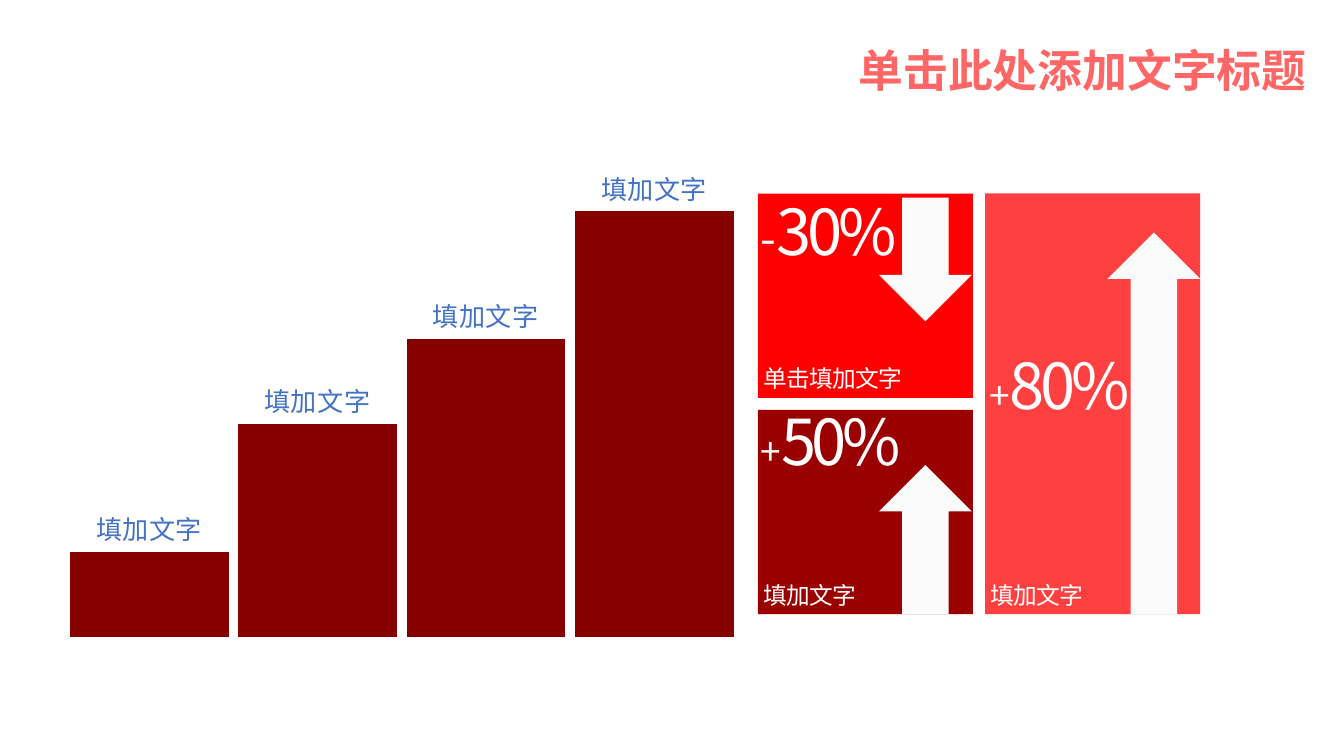
import pptx
import pptx.chart.data
import pptx.dml.color
import pptx.enum.chart
import pptx.enum.shapes
import pptx.enum.text
import pptx.oxml
import pptx.oxml.ns
import pptx.util
from pptx.util import Inches

COLORS = {
    "title": "FF6666",
    "coral": "FF4040",
    "red": "FF0000",
    "dark_red": "9A0000",
    "bar": "860000",
    "label": "4472C4",
    "white": "FFFFFF",
    "arrow": "FBFBFB",
}
FONT = "Noto Sans CJK SC"
ARROWS = {
    "up": pptx.enum.shapes.MSO_SHAPE.UP_ARROW,
    "down": pptx.enum.shapes.MSO_SHAPE.DOWN_ARROW,
}


class SlideBuilder:
    def __init__(self, slide):
        self.slide = slide

    def color(self, name):
        return pptx.dml.color.RGBColor.from_string(COLORS[name])

    def style_font(self, font, size, color, bold=False, spacing=0):
        font.name = FONT
        font.size = pptx.util.Pt(size)
        font.bold = bold
        font.color.rgb = self.color(color)
        properties = font._rPr
        if spacing:
            properties.set("spc", str(round(spacing * 100)))
        east_asian = pptx.oxml.parse_xml(
            f'<a:ea {pptx.oxml.ns.nsdecls("a")} typeface="{FONT}"/>'
        )
        properties.find(pptx.oxml.ns.qn("a:latin")).addnext(east_asian)

    def set_margins(self, frame, margin):
        frame.margin_left = frame.margin_right = Inches(margin)
        frame.margin_top = frame.margin_bottom = Inches(margin)

    def add_filled(self, preset, box, color):
        shape = self.slide.shapes.add_shape(preset, *map(Inches, box))
        shape.shadow.inherit = False
        shape.fill.solid()
        shape.fill.fore_color.rgb = self.color(color)
        shape.line.fill.background()
        return shape

    def add_title(self, text, box):
        frame = self.slide.shapes.add_textbox(*map(Inches, box)).text_frame
        frame.word_wrap = False
        frame.auto_size = pptx.enum.text.MSO_AUTO_SIZE.SHAPE_TO_FIT_TEXT
        paragraph = frame.paragraphs[0]
        paragraph.text = text
        self.style_font(paragraph.font, 24, "title", bold=True)

    def add_tile(self, text, box, color):
        shape = self.add_filled(pptx.enum.shapes.MSO_SHAPE.RECTANGLE, box, color)
        frame = shape.text_frame
        frame.word_wrap = True
        frame.vertical_anchor = pptx.enum.text.MSO_ANCHOR.BOTTOM
        self.set_margins(frame, 0.04)
        paragraph = frame.paragraphs[0]
        paragraph.text = text
        paragraph.alignment = pptx.enum.text.PP_ALIGN.LEFT
        paragraph.line_spacing = 0.8
        self.style_font(paragraph.font, 12.7, "white", spacing=-0.4)

    def add_arrow(self, direction, box):
        self.add_filled(ARROWS[direction], box, "arrow")

    def add_percentage(self, sign, sign_size, value, box):
        frame = self.slide.shapes.add_textbox(*map(Inches, box)).text_frame
        frame.word_wrap = True
        frame.auto_size = pptx.enum.text.MSO_AUTO_SIZE.SHAPE_TO_FIT_TEXT
        self.set_margins(frame, 0)
        paragraph = frame.paragraphs[0]
        for text, size in ((sign, sign_size), (value, 33.9)):
            run = paragraph.add_run()
            run.text = text
            self.style_font(run.font, size, "white", spacing=-2.3)

    def add_column_chart(self, categories, values, box):
        data = pptx.chart.data.CategoryChartData()
        data.categories = categories
        data.add_series("Series 1", values)
        chart = self.slide.shapes.add_chart(
            pptx.enum.chart.XL_CHART_TYPE.COLUMN_CLUSTERED, *map(Inches, box), data
        ).chart
        chart.has_legend = False
        chart.has_title = False
        self.style_font(chart.font, 14, "label")
        chart.category_axis.visible = False
        axis = chart.value_axis
        axis.visible = False
        axis.has_major_gridlines = False
        axis.minimum_scale, axis.maximum_scale = 0, 120

        plot = chart.plots[0]
        plot.vary_by_categories = False
        plot.gap_width = 6
        plot.overlap = -98
        series_format = plot.series[0].format
        series_format.fill.solid()
        series_format.fill.fore_color.rgb = self.color("bar")
        plot.has_data_labels = True
        labels = plot.data_labels
        labels.show_value = False
        labels.show_category_name = True
        labels.position = pptx.enum.chart.XL_LABEL_POSITION.OUTSIDE_END
        self.style_font(labels.font, 14, "label")

        plot_area = chart._chartSpace.chart.plotArea
        for layout in plot_area.findall(pptx.oxml.ns.qn("c:layout")):
            plot_area.remove(layout)
        plot_area.insert(0, pptx.oxml.parse_xml(
            f'<c:layout {pptx.oxml.ns.nsdecls("c")}><c:manualLayout>'
            '<c:layoutTarget val="inner"/>'
            '<c:xMode val="edge"/><c:yMode val="edge"/>'
            '<c:x val="0.02"/><c:y val="0.02"/>'
            '<c:w val="0.96"/><c:h val="0.96"/>'
            '</c:manualLayout></c:layout>'
        ))


def main():
    presentation = pptx.Presentation()
    presentation.slide_width = Inches(10)
    presentation.slide_height = presentation.slide_width * 9 // 16
    slide = presentation.slides.add_slide(presentation.slide_layouts[6])
    builder = SlideBuilder(slide)

    label = "填加文字"
    builder.add_title("单击此处添加文字标题", (6.29, 0.27, 3.57, 0.5))

    builder.add_tile(label, (7.33, 1.44, 1.6, 3.13), "coral")
    builder.add_tile("单击填加文字", (5.64, 1.44, 1.6, 1.52), "red")
    builder.add_tile(label, (5.64, 3.05, 1.6, 1.52), "dark_red")

    builder.add_arrow("up", (8.24, 1.73, 0.69, 2.84))
    builder.add_percentage("+", 19.8, "80%", (7.36, 2.58, 1.18, 0.57))
    builder.add_arrow("down", (6.54, 1.47, 0.69, 0.92))
    builder.add_percentage("+", 19.8, "50%", (5.66, 2.99, 1.57, 0.57))
    builder.add_arrow("up", (6.54, 3.46, 0.69, 1.11))
    builder.add_percentage("-", 24.4, "30%", (5.66, 1.43, 1.58, 0.57))

    values = (20, 50, 70, 100)
    builder.add_column_chart([label] * len(values), values, (0.38, 0.86, 5.22, 3.96))
    presentation.save("out.pptx")


if __name__ == "__main__":
    main()
